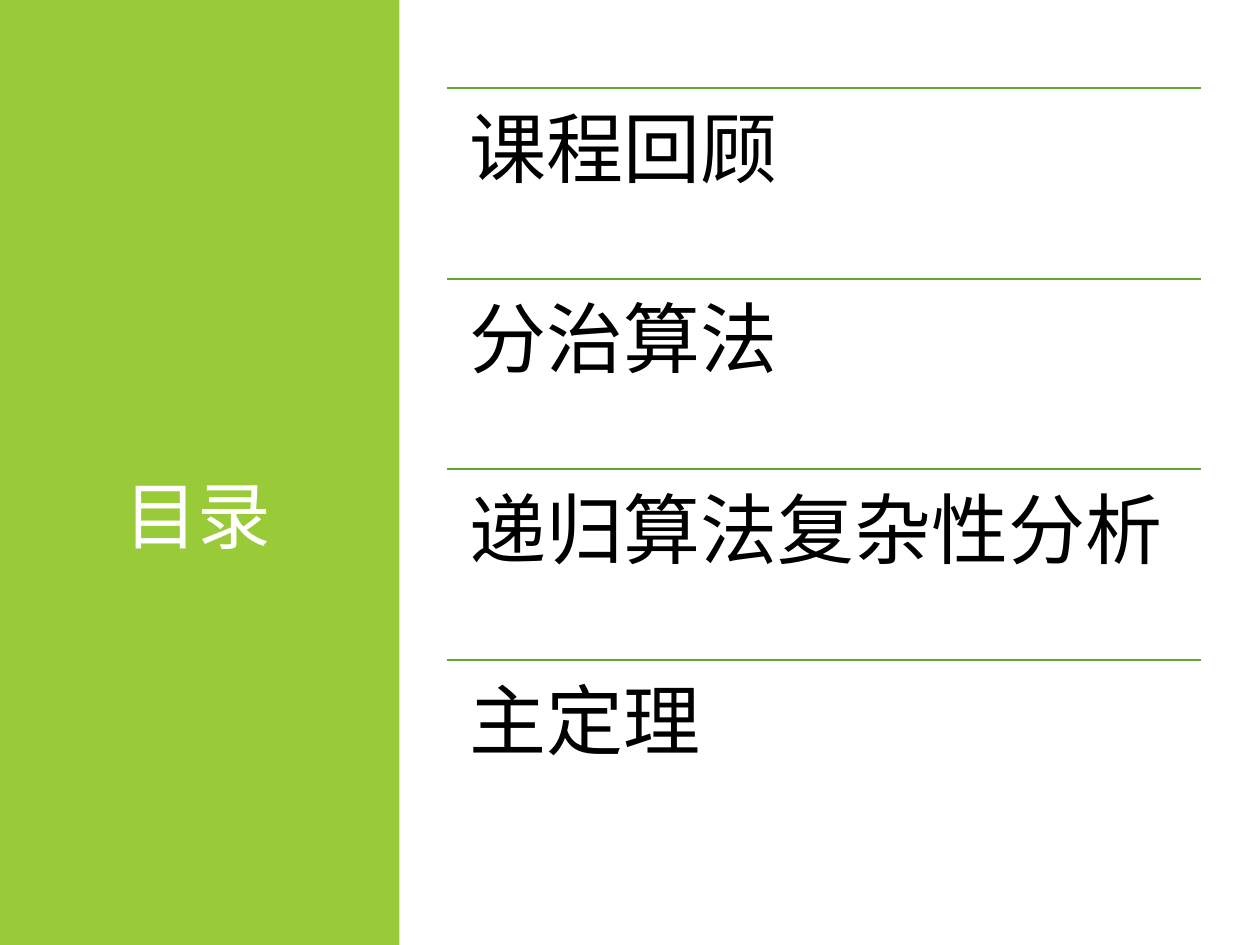
from dataclasses import dataclass

from lxml.etree import SubElement
from pptx import Presentation
from pptx.dml.color import RGBColor
from pptx.enum.shapes import MSO_CONNECTOR, MSO_SHAPE
from pptx.enum.text import MSO_ANCHOR, PP_ALIGN
from pptx.oxml.ns import qn
from pptx.util import Inches, Pt


@dataclass(frozen=True)
class Theme:
    font: str = "Calibri"
    panel: RGBColor = RGBColor(0x99, 0xCB, 0x38)
    rule: RGBColor = RGBColor(0x63, 0xA5, 0x37)
    light: RGBColor = RGBColor(0xFF, 0xFF, 0xFF)
    dark: RGBColor = RGBColor(0x00, 0x00, 0x00)
    title_size: int = 42
    item_size: int = 44
    rule_width: int = 1


def write_text(frame, text, *, font, size, color, align=PP_ALIGN.LEFT, inset=(0.1, 0.05)):
    """Fill a text frame with one formatted paragraph; inset is in inches."""
    frame.word_wrap = True
    frame.vertical_anchor = MSO_ANCHOR.TOP
    frame.margin_left = frame.margin_right = Inches(inset[0])
    frame.margin_top = frame.margin_bottom = Inches(inset[1])
    paragraph = frame.paragraphs[0]
    paragraph.alignment = align
    paragraph.line_spacing = 0.9
    run = paragraph.add_run()
    run.text = text
    run.font.name = font
    run.font.size = Pt(size)
    run.font.color.rgb = color


class SlideBuilder:
    """Draws on one slide; positions are shares of its width and height."""

    def __init__(self, presentation, theme):
        self.theme = theme
        self.width = presentation.slide_width
        self.height = presentation.slide_height
        self.slide = presentation.slides.add_slide(presentation.slide_layouts[6])

    def place(self, left, top, width, height):
        return (round(left * self.width), round(top * self.height),
                round(width * self.width), round(height * self.height))

    def panel(self, *area):
        shape = self.slide.shapes.add_shape(MSO_SHAPE.RECTANGLE, *self.place(*area))
        shape.shadow.inherit = False
        shape.fill.solid()
        shape.fill.fore_color.rgb = self.theme.panel
        shape.line.fill.background()

    def text(self, text, *area, **style):
        shape = self.slide.shapes.add_textbox(*self.place(*area))
        write_text(shape.text_frame, text, font=self.theme.font, **style)

    def rule(self, left, top, width):
        x, y, length, _ = self.place(left, top, width, 0)
        connector = self.slide.shapes.add_connector(
            MSO_CONNECTOR.STRAIGHT, x, y, x + length, y)
        connector.line.color.rgb = self.theme.rule
        connector.line.width = Pt(self.theme.rule_width)
        SubElement(connector._element.spPr, qn("a:effectLst"))

    def agenda(self, items, left, top, width, height):
        row_height = height / len(items)
        for row, item in enumerate(items):
            row_top = top + row * row_height
            self.rule(left, row_top, width)
            self.text(item, left, row_top, width, row_height,
                      size=self.theme.item_size, color=self.theme.dark,
                      inset=(0.18, 0.18))


def main():
    presentation = Presentation()
    presentation.slide_width = Inches(10)
    presentation.slide_height = Inches(7.5)
    theme = Theme()
    builder = SlideBuilder(presentation, theme)

    # Side panel with the title
    builder.panel(0, 0, 0.317, 1)
    builder.text("目录", 0.026, 3.76 / 7.5, 0.262, 0.4, size=theme.title_size,
                 color=theme.light, align=PP_ALIGN.CENTER)

    # Agenda: equal rows, each under a thin rule
    builder.agenda(["课程回顾", "分治算法", "递归算法复杂性分析", "主定理"],
                   0.355, 0.7 / 7.5, 0.598, 6.05 / 7.5)

    presentation.save("out.pptx")


if __name__ == "__main__":
    main()
